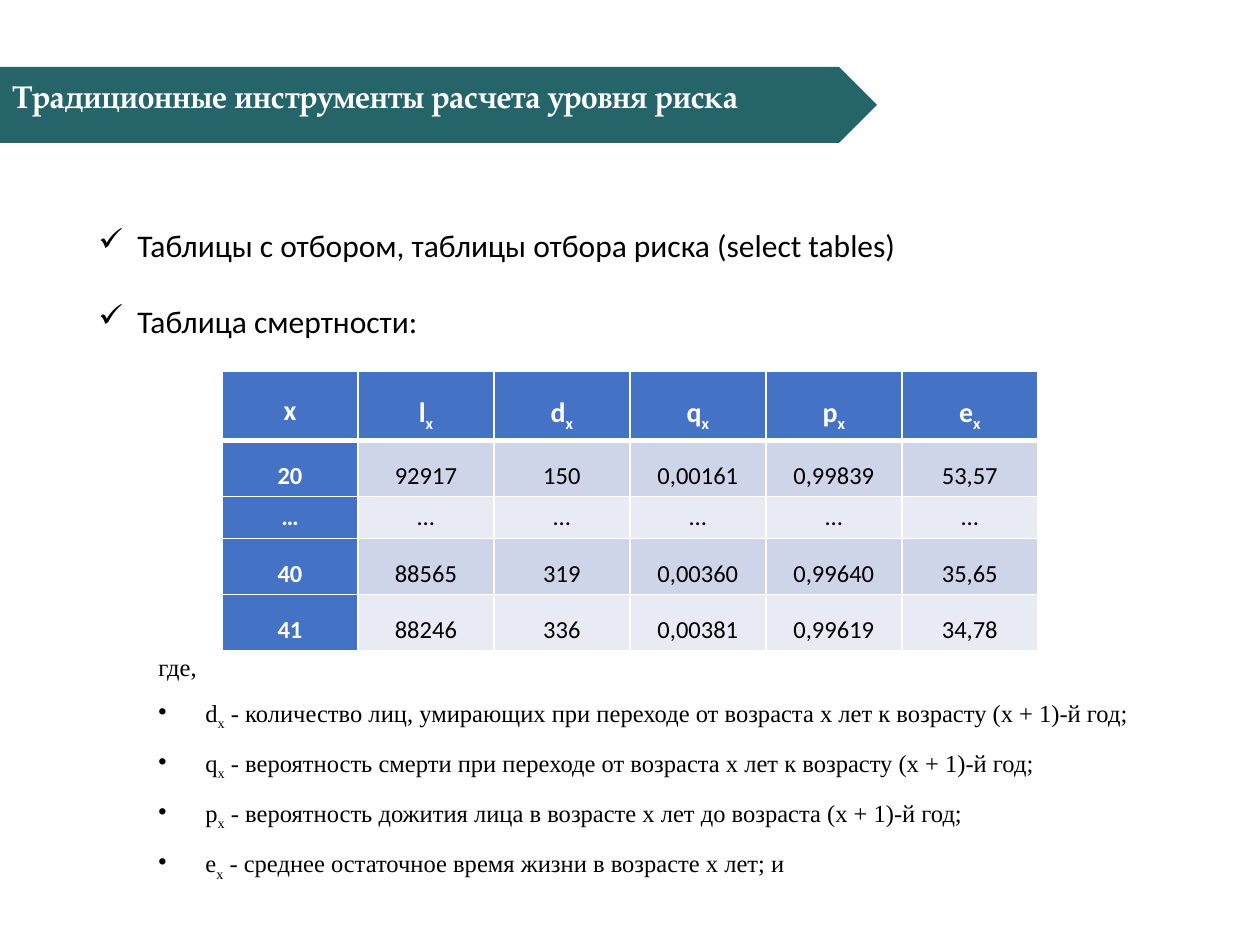
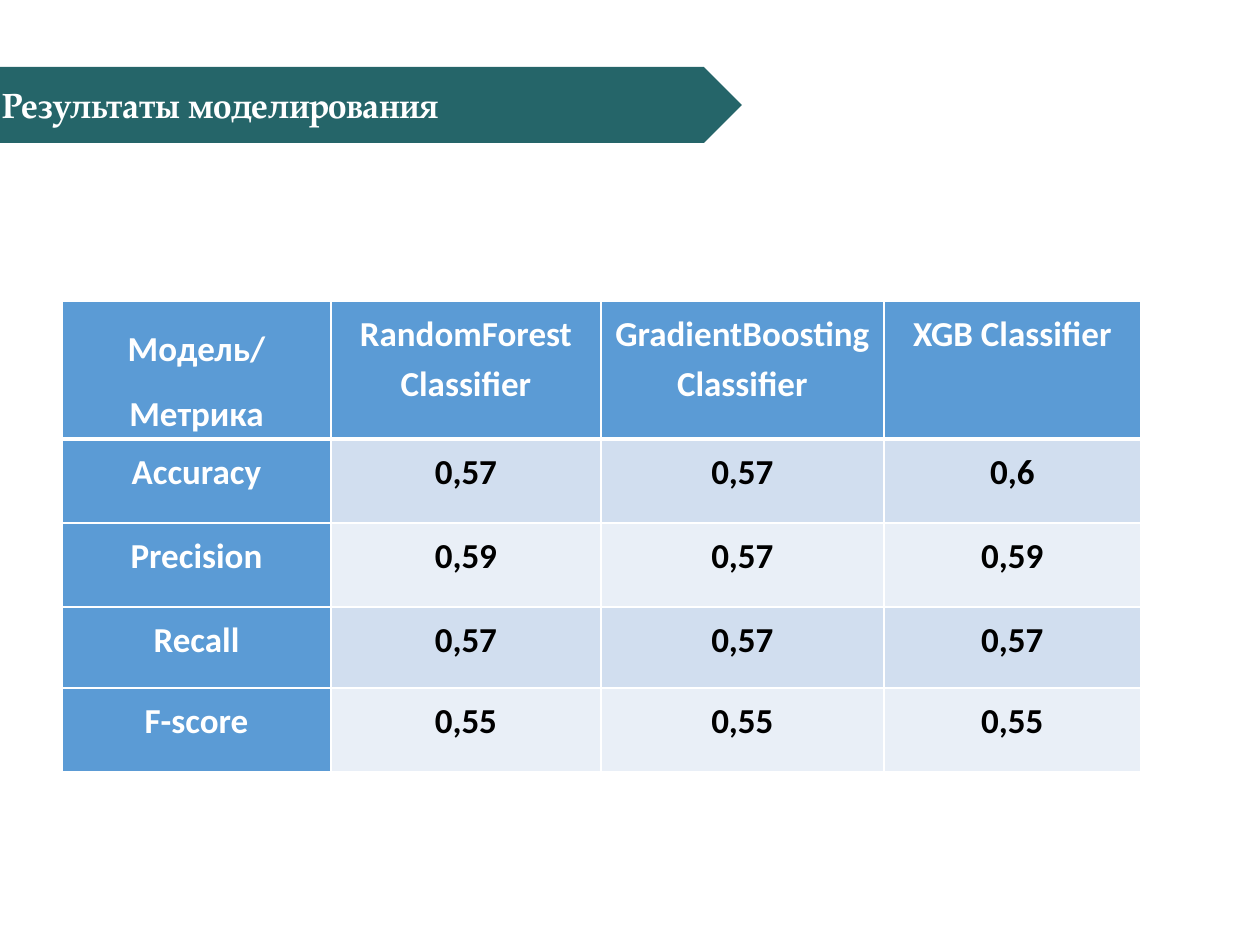
from dataclasses import dataclass

from lxml import etree
from pptx import Presentation
from pptx.dml.color import RGBColor
from pptx.enum.shapes import MSO_SHAPE
from pptx.enum.text import PP_ALIGN
from pptx.oxml.ns import qn
from pptx.util import Pt

PENTAGON = MSO_SHAPE.PENTAGON
LEFT, CENTER, JUSTIFY = PP_ALIGN.LEFT, PP_ALIGN.CENTER, PP_ALIGN.JUSTIFY
EMU_PER_PX = 914400 / 126
BLANK_LAYOUT = 6


@dataclass(frozen=True)
class Theme:
    band: str = "256569"
    white: str = "FFFFFF"
    black: str = "000000"
    # Header, odd rows, even rows
    mortality: tuple = ("4472C4", "CFD5E9", "E8EBF4")
    metrics: tuple = ("5B9BD5", "D1DEEF", "E9EFF7")
    title_font: str = "TeX Gyre Pagella"
    body_font: str = "Calibri"
    serif_font: str = "Times New Roman"
    large: int = 20
    medium: int = 18
    header: int = 16
    small: int = 14
    thin_line: float = 0.96
    thick_line: float = 3


THEME = Theme()

MORTALITY_ROWS = [
    ["x", "l_x", "d_x", "q_x", "p_x", "e_x"],
    ["20", "92917", "150", "0,00161", "0,99839", "53,57"],
    ["…"] * 6,
    ["40", "88565", "319", "0,00360", "0,99640", "35,65"],
    ["41", "88246", "336", "0,00381", "0,99619", "34,78"],
]
METRIC_ROWS = [
    ["Модель/\nМетрика", "RandomForest Classifier",
     "GradientBoosting Classifier", "XGB Classifier"],
    ["Accuracy", "0,57", "0,57", "0,6"],
    ["Precision", "0,59", "0,57", "0,59"],
    ["Recall", "0,57", "0,57", "0,57"],
    ["F-score", "0,55", "0,55", "0,55"],
]
TOOLS = """Таблицы с отбором, таблицы отбора риска (select tables)
Таблица смертности:"""
DEFINITIONS = """где,
d_x - количество лиц, умирающих при переходе от возраста х лет к возрасту (х + 1)-й год;
q_x - вероятность смерти при переходе от возраста х лет к возрасту (x + 1)-й год;
p_x - вероятность дожития лица в возрасте х лет до возраста (х + 1)-й год;
e_x - среднее остаточное время жизни в возрасте х лет; и"""


def px(length):
    return round(length * EMU_PER_PX)


def color(value):
    return RGBColor.from_string(value)


# Text

def add_bullet(para, symbol, indent):
    properties = para._p.get_or_add_pPr()
    properties.set("marL", str(px(indent)))
    properties.set("indent", str(-px(indent)))
    etree.SubElement(properties, qn("a:buChar")).set("char", symbol)


def write_text(frame, text, *, size, font=THEME.body_font, ink=THEME.black,
               bold=False, align=LEFT, spacing=1.0, before=0, after=0,
               bullet=None, indent=0, first_bullet=0):
    """Write one paragraph per line; an underscore lowers the next letter."""
    frame.word_wrap = True
    for number, line in enumerate(text.split("\n")):
        para = frame.add_paragraph() if number else frame.paragraphs[0]
        para.alignment = align
        para.line_spacing = spacing
        para.space_before = Pt(before if number else 0)
        para.space_after = Pt(after)
        if bullet and number >= first_bullet:
            add_bullet(para, bullet, indent)
        plain, *lowered = line.split("_")
        pieces = [(plain, False)]
        for part in lowered:
            pieces += [(part[0], True), (part[1:], False)]
        for piece, is_subscript in pieces:
            if not piece:
                continue
            span = para.add_run()
            span.text = piece
            span.font.name = font
            span.font.size = Pt(size)
            span.font.bold = bold
            span.font.color.rgb = color(ink)
            if is_subscript:
                span._r.get_or_add_rPr().set("baseline", "-25000")


def add_text(page, text, left, top, width, height, **text_format):
    box = page.shapes.add_textbox(px(left), px(top), px(width), px(height))
    write_text(box.text_frame, text, **text_format)


# Title band

def add_title(page, title, band_width, left, top, width, height, size):
    band = page.shapes.add_shape(PENTAGON, 0, px(67), px(band_width), px(76))
    band.shadow.inherit = False
    band.fill.solid()
    band.fill.fore_color.rgb = color(THEME.band)
    band.line.fill.background()
    add_text(page, title, left, top, width, height, size=size,
             font=THEME.title_font, ink=THEME.white, bold=True)


# Tables

def add_borders(cell, row):
    """Draw thin white cell edges with a thick line below the header."""
    properties = cell._tc.get_or_add_tcPr()
    thick_edge = {0: "lnB", 1: "lnT"}.get(row)
    for edge in ("lnL", "lnR", "lnT", "lnB"):
        weight = THEME.thick_line if edge == thick_edge else THEME.thin_line
        line = etree.SubElement(properties, qn(f"a:{edge}"))
        line.set("w", str(Pt(weight)))
        fill = etree.SubElement(line, qn("a:solidFill"))
        etree.SubElement(fill, qn("a:srgbClr")).set("val", THEME.white)


def add_grid(page, rows, left, top, widths, heights, fills, cell_format):
    frame = page.shapes.add_table(len(rows), len(widths), px(left), px(top),
                                  px(sum(widths)), px(sum(heights)))
    table = frame.table
    for column, width in zip(table.columns, widths):
        column.width = px(width)
    for line, height in zip(table.rows, heights):
        line.height = px(height)
    for row, values in enumerate(rows):
        for column, value in enumerate(values):
            cell = table.cell(row, column)
            cell.margin_left = cell.margin_right = px(9)
            cell.margin_top = cell.margin_bottom = px(6)
            add_borders(cell, row)
            is_heading = row == 0 or column == 0
            cell.fill.solid()
            cell.fill.fore_color.rgb = color(
                fills[0] if is_heading else fills[2 - row % 2])
            write_text(cell.text_frame, value, align=CENTER,
                       ink=THEME.white if is_heading else THEME.black,
                       **cell_format(row, column))


def mortality_format(row, column):
    return {
        "size": THEME.small if row else THEME.header,
        "bold": row == 0 or column == 0,
        "spacing": 1.0 if row == 2 else 1.5,
    }


def metric_format(row, column):
    is_corner = row == column == 0
    return {
        "size": THEME.large,
        "bold": True,
        "spacing": 1.5 if is_corner else 1.15,
        "after": 0 if is_corner else 10,
    }


# Slides

def build_risk_tools(page):
    add_title(page, "Традиционные инструменты расчета уровня риска",
              877, 0, 71, 878, 50, THEME.medium)
    add_text(page, TOOLS, 86, 220, 1090, 234, size=THEME.medium,
             align=JUSTIFY, before=22, bullet="✓", indent=39)
    add_grid(page, MORTALITY_ROWS, 222, 371, [136] * 6,
             [69, 56, 42, 56, 56], THEME.mortality, mortality_format)
    add_text(page, DEFINITIONS, 146, 631, 1114, 257, size=THEME.small,
             font=THEME.serif_font, align=JUSTIFY, spacing=1.5,
             bullet="•", indent=47, first_bullet=1)


def build_model_results(page):
    add_title(page, "Результаты моделирования",
              742, -10, 77, 547, 54, THEME.large)
    add_grid(page, METRIC_ROWS, 62, 301, [269, 270, 283, 257],
             [138, 84, 84, 81, 84], THEME.metrics, metric_format)


def main():
    deck = Presentation()
    deck.slide_width, deck.slide_height = px(1260), px(945)
    for build in (build_risk_tools, build_model_results):
        build(deck.slides.add_slide(deck.slide_layouts[BLANK_LAYOUT]))
    deck.save("out.pptx")


if __name__ == "__main__":
    main()
